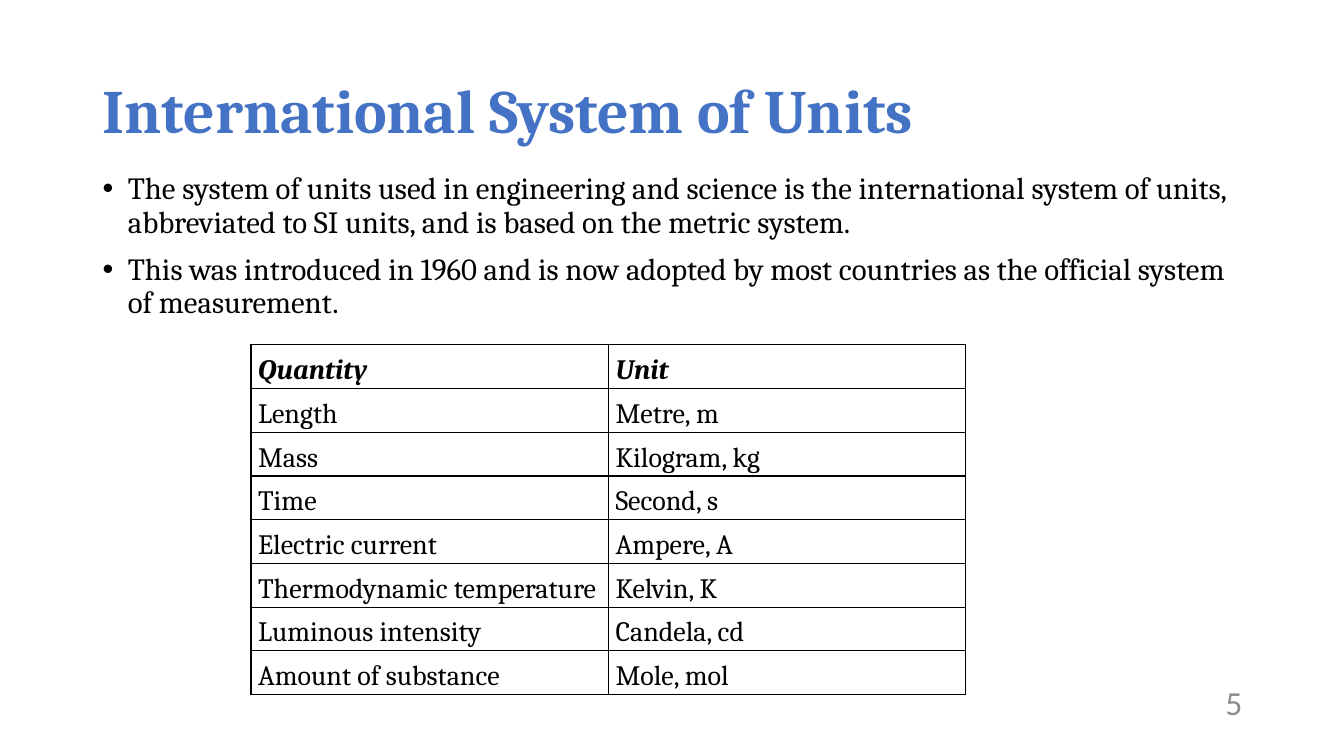
import dataclasses

import lxml.etree
import pptx
import pptx.dml.color
import pptx.enum.text
import pptx.oxml.ns
import pptx.util

Inches = pptx.util.Inches
Pt = pptx.util.Pt
Align = pptx.enum.text.PP_ALIGN
Anchor = pptx.enum.text.MSO_ANCHOR
qn = pptx.oxml.ns.qn

COLORS = {"heading": "4472C4", "ink": "000000", "page_number": "8C8C8C"}


@dataclasses.dataclass(frozen=True)
class Style:
    size: float
    color: str
    font: str = "Cambria"
    bold: bool = False
    italic: bool = False
    align: Align = Align.LEFT
    line_spacing: float = 0.9
    space_before: float = 0
    space_after: float = 0
    bullet: bool = False


@dataclasses.dataclass(frozen=True)
class TextBlock:
    left: float
    top: float
    width: float
    height: float
    style: Style
    lines: tuple[str, ...]
    anchor: Anchor = Anchor.MIDDLE


CELL = Style(20, "ink", align=Align.JUSTIFY, line_spacing=1.3, space_after=8)
HEADER = dataclasses.replace(CELL, bold=True, italic=True)

BLOCKS = (
    TextBlock(0.92, 0.4, 11.5, 1.45, Style(44, "heading", bold=True),
              ("International System of Units",)),
    TextBlock(0.92, 1.67, 11.5, 5.08, Style(22, "ink", space_before=10, bullet=True), (
        "The system of units used in engineering and science is the international "
        "system of units, abbreviated to SI units, and is based on the metric system.",
        "This was introduced in 1960 and is now adopted by most countries as the "
        "official system of measurement.",
    ), Anchor.TOP),
    TextBlock(9.42, 6.77, 3, 0.4,
              Style(24, "page_number", font="Calibri", align=Align.RIGHT, line_spacing=1),
              ("5",)),
)

UNITS = (
    ("Quantity", "Unit"),
    ("Length", "Metre, m"),
    ("Mass", "Kilogram, kg"),
    ("Time", "Second, s"),
    ("Electric current", "Ampere, A"),
    ("Thermodynamic temperature", "Kelvin, K"),
    ("Luminous intensity", "Candela, cd"),
    ("Amount of substance", "Mole, mol"),
)


def write_paragraph(para, text: str, style: Style) -> None:
    para.alignment = style.align
    para.line_spacing = style.line_spacing
    para.space_before = Pt(style.space_before)
    para.space_after = Pt(style.space_after)
    if style.bullet:
        properties = para._p.get_or_add_pPr()
        properties.set("marL", str(Inches(0.25)))
        properties.set("indent", str(Inches(-0.25)))
        lxml.etree.SubElement(properties, qn("a:buFont"), typeface="Arial")
        lxml.etree.SubElement(properties, qn("a:buChar"), char="•")
    span = para.add_run()
    span.text = text
    span.font.name = style.font
    span.font.size = Pt(style.size)
    span.font.bold = style.bold
    span.font.italic = style.italic
    span.font.color.rgb = pptx.dml.color.RGBColor.from_string(COLORS[style.color])


def add_text_block(page, block: TextBlock) -> None:
    box = page.shapes.add_textbox(Inches(block.left), Inches(block.top),
                                  Inches(block.width), Inches(block.height))
    frame = box.text_frame
    frame.word_wrap = True
    frame.vertical_anchor = block.anchor
    for index, line in enumerate(block.lines):
        para = frame.add_paragraph() if index else frame.paragraphs[0]
        write_paragraph(para, line, block.style)


def add_borders(cell) -> None:
    properties = cell._tc.get_or_add_tcPr()
    for index, side in enumerate(("lnL", "lnR", "lnT", "lnB")):
        border = lxml.etree.Element(qn(f"a:{side}"), w=str(Pt(1)))
        fill = lxml.etree.SubElement(border, qn("a:solidFill"))
        lxml.etree.SubElement(fill, qn("a:srgbClr"), val=COLORS["ink"])
        properties.insert(index, border)


def add_units_table(page, rows: tuple[tuple[str, str], ...]) -> None:
    row_height, column_width = 0.35, 3.545
    table = page.shapes.add_table(
        len(rows), len(rows[0]), Inches(2.49), Inches(3.42),
        Inches(column_width * len(rows[0])), Inches(row_height * len(rows))).table
    table.first_row = False
    table.horz_banding = False
    for row_index, texts in enumerate(rows):
        for column_index, text in enumerate(texts):
            cell = table.cell(row_index, column_index)
            cell.fill.background()
            cell.margin_left = cell.margin_right = Inches(0.07)
            cell.margin_top = cell.margin_bottom = 0
            write_paragraph(cell.text_frame.paragraphs[0], text,
                            CELL if row_index else HEADER)
            add_borders(cell)


def main() -> None:
    deck = pptx.Presentation()
    deck.slide_width = Inches(13.33)
    deck.slide_height = Inches(7.5)
    page = deck.slides.add_slide(deck.slide_layouts[6])
    for block in BLOCKS:
        add_text_block(page, block)
    add_units_table(page, UNITS)
    deck.save("out.pptx")


if __name__ == "__main__":
    main()
